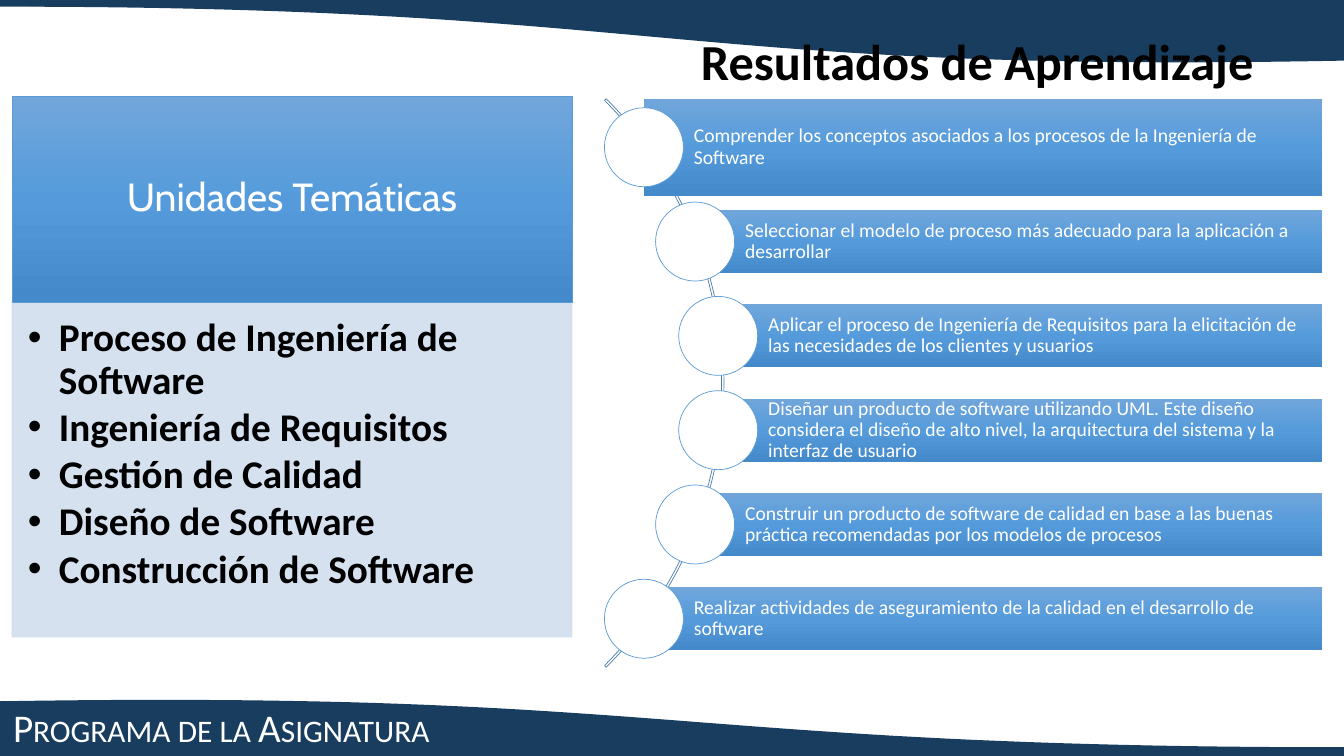
"""Build the course programme slide with its units and learning outcomes."""
import copy
import dataclasses
import math
import typing

import pptx
import pptx.dml.color
import pptx.enum.shapes
import pptx.enum.text
import pptx.oxml
import pptx.oxml.ns
import pptx.util

WIDTH, HEIGHT = 1344, 756
SCALE = 12192000 / WIDTH
COLOURS = {
    "navy": "183D5E", "white": "FFFFFF", "black": "000000", "blue": "5B9BD5",
    "arc": "497CAB", "pale": "D2DEEF",
    "light": "71A6DB", "middle": "559BDB", "deep": "448ACA",
}
KIND = pptx.enum.shapes.MSO_SHAPE
ANCHOR = pptx.enum.text.MSO_ANCHOR
ALIGN = pptx.enum.text.PP_ALIGN
FIT = pptx.enum.text.MSO_AUTO_SIZE
Point = tuple[float, float]

UNITS = [
    "Proceso de Ingeniería de Software",
    "Ingeniería de Requisitos",
    "Gestión de Calidad",
    "Diseño de Software",
    "Construcción de Software",
]
ARC_X, ARC_Y, ARC_RADIUS, ORBIT = 322, 383, 402, 399
PITCH, DISC, BAR_RIGHT = 94.3, 79, 1322


@dataclasses.dataclass
class Outcome:
    text: str
    height: int = 63


@dataclasses.dataclass
class Band:
    curve: tuple[Point, Point, Point, Point]
    edge: int


OUTCOMES = [
    Outcome("Comprender los conceptos asociados a los procesos de la Ingeniería de Software", 97),
    Outcome("Seleccionar el modelo de proceso más adecuado para la aplicación a desarrollar"),
    Outcome("Aplicar el proceso de Ingeniería de Requisitos para la elicitación de las "
            "necesidades de los clientes y usuarios"),
    Outcome("Diseñar un producto de software utilizando UML. Este diseño considera el diseño "
            "de alto nivel, la arquitectura del sistema y la interfaz de usuario"),
    Outcome("Construir un producto de software de calidad en base a las buenas práctica "
            "recomendadas por los modelos de procesos"),
    Outcome("Realizar actividades de aseguramiento de la calidad en el desarrollo de software"),
]
BANDS = [
    Band(((0, 6), (672, 6), (672, 73), (WIDTH, 60)), -3),
    Band(((0, 702), (672, 691), (672, 748), (WIDTH, 748)), HEIGHT),
]


def px(length: float) -> int:
    """Turn px into EMU."""
    return round(length * SCALE)


def colour(name: str) -> pptx.dml.color.RGBColor:
    """Look up a named colour."""
    return pptx.dml.color.RGBColor.from_string(COLOURS[name])


def paint(shape: typing.Any, fill: str | None = None, line: str | None = None,
          weight: float = 0.5) -> None:
    """Set a solid fill and an outline, or none."""
    if fill:
        shape.fill.solid()
        shape.fill.fore_color.rgb = colour(fill)
    else:
        shape.fill.background()
    if line:
        shape.line.color.rgb = colour(line)
        shape.line.width = pptx.util.Pt(weight)
    else:
        shape.line.fill.background()


def shade(shape: typing.Any) -> None:
    """Fill a shape with the vertical blue gradient."""
    shape.fill.gradient()
    first = shape.element.spPr.xpath(".//a:gs")[0]
    first.addnext(copy.deepcopy(first))
    names = ("light", "middle", "deep")
    for stop, name, position in zip(shape.fill.gradient_stops, names, (0, 0.5, 1)):
        stop.color.rgb = colour(name)
        stop.position = position
    shape.fill.gradient_angle = 270


def add_shape(page: typing.Any, kind: typing.Any, left: float, top: float,
              width: float, height: float) -> typing.Any:
    """Add a preset shape without shadow."""
    shape = page.shapes.add_shape(kind, px(left), px(top), px(width), px(height))
    shape.shadow.inherit = False
    return shape


def place(shape: typing.Any, left: int, top: int, width: int, height: int) -> None:
    """Move and size a placeholder."""
    shape.left, shape.top, shape.width, shape.height = map(px, (left, top, width, height))


def write(box: typing.Any, *texts: str, size: int, font: str = "Calibri",
          ink: str = "white", bold: bool = False, align: typing.Any = ALIGN.LEFT,
          anchor: typing.Any = ANCHOR.MIDDLE, insets: tuple = (10, 5, 10, 5),
          spacing: float = 0.9, after: float = 0, bullet: str = "",
          small_caps: bool = False, fit: typing.Any = FIT.NONE) -> None:
    """Write one formatted paragraph for each text."""
    frame = box.text_frame
    frame.word_wrap = True
    frame.auto_size = fit
    frame.vertical_anchor = anchor
    (frame.margin_left, frame.margin_top,
     frame.margin_right, frame.margin_bottom) = map(px, insets)
    for index, text in enumerate(texts):
        para = frame.add_paragraph() if index else frame.paragraphs[0]
        para.alignment = align
        para.line_spacing = spacing
        para.space_before = pptx.util.Pt(0)
        para.space_after = pptx.util.Pt(after)
        if bullet:
            properties = para._p.get_or_add_pPr()
            properties.set("marL", str(px(31)))
            properties.set("indent", str(-px(31)))
            mark = pptx.oxml.parse_xml(
                f'<a:buChar {pptx.oxml.ns.nsdecls("a")} char="{bullet}"/>')
            properties.append(mark)
        span = para.add_run()
        span.text = text
        span.font.name = font
        span.font.size = pptx.util.Pt(size)
        span.font.bold = bold
        span.font.color.rgb = colour(ink)
        if small_caps:
            span.font._element.set("cap", "small")


def add_band(page: typing.Any, band: Band, steps: int = 48) -> None:
    """Draw a navy band between a Bézier curve and a slide edge."""
    points = []
    for step in range(steps + 1):
        t = step / steps
        weights = [math.comb(3, k) * t**k * (1 - t)**(3 - k) for k in range(4)]
        points.append(tuple(
            px(sum(w * point[axis] for w, point in zip(weights, band.curve)))
            for axis in (0, 1)))
    points += [(px(WIDTH), px(band.edge)), (0, px(band.edge))]
    builder = page.shapes.build_freeform(*points[0])
    builder.add_line_segments(points[1:], close=True)
    shape = builder.convert_to_shape()
    shape.shadow.inherit = False
    paint(shape, "navy", "navy", 1)


def add_outcomes(page: typing.Any) -> None:
    """Draw the arc with its bars and discs."""
    arc = add_shape(page, KIND.BLOCK_ARC, ARC_X - ARC_RADIUS, ARC_Y - ARC_RADIUS,
                    2 * ARC_RADIUS, 2 * ARC_RADIUS)
    for index, value in enumerate((189, 27, 0.003)):
        arc.adjustments[index] = value
    paint(arc, line="arc")
    for index, outcome in enumerate(OUTCOMES):
        rise = (index - (len(OUTCOMES) - 1) / 2) * PITCH
        x, y = ARC_X + math.sqrt(ORBIT**2 - rise**2), ARC_Y + rise
        bar = add_shape(page, KIND.RECTANGLE, x, y - outcome.height / 2,
                        BAR_RIGHT - x, outcome.height)
        paint(bar)
        shade(bar)
        write(bar, outcome.text, size=14, insets=(50, 4, 4, 4))
        disc = add_shape(page, KIND.OVAL, x - DISC / 2, y - DISC / 2, DISC, DISC)
        paint(disc, "white", "blue")


def add_units(page: typing.Any) -> None:
    """Draw the units header and fill the body placeholder."""
    header = add_shape(page, KIND.RECTANGLE, 12, 96, 560, 206)
    paint(header, line="blue")
    shade(header)
    write(header, "Unidades Temáticas", size=28, font="Cabin", align=ALIGN.CENTER,
          insets=(22, 12, 22, 12))
    body = page.placeholders[1]
    place(body, 12, 302, 560, 335)
    paint(body, "pale", "pale")
    for tint in body.element.spPr.xpath(".//a:srgbClr"):
        tint.append(pptx.oxml.parse_xml(
            f'<a:alpha {pptx.oxml.ns.nsdecls("a")} val="90000"/>'))
    write(body, *UNITS, size=28, ink="black", bold=True, anchor=ANCHOR.TOP,
          insets=(16, 16, 22, 24), after=3.5, bullet="•")


def main() -> None:
    """Build and save the deck."""
    deck = pptx.Presentation()
    deck.slide_width, deck.slide_height = px(WIDTH), px(HEIGHT)
    page = deck.slides.add_slide(deck.slide_layouts[1])
    for band in BANDS:
        add_band(page, band)
    add_outcomes(page)
    add_units(page)
    title = page.shapes.title
    place(title, 3, 705, 680, 49)
    write(title, "Programa de la Asignatura", size=28, small_caps=True)
    page.shapes.element.append(title.element)
    heading = page.shapes.add_textbox(px(661), px(25), px(633), px(72))
    write(heading, "Resultados de Aprendizaje", size=36, ink="black", bold=True,
          align=ALIGN.CENTER, anchor=ANCHOR.TOP, spacing=1, fit=FIT.SHAPE_TO_FIT_TEXT)
    deck.save("out.pptx")


if __name__ == "__main__":
    main()
